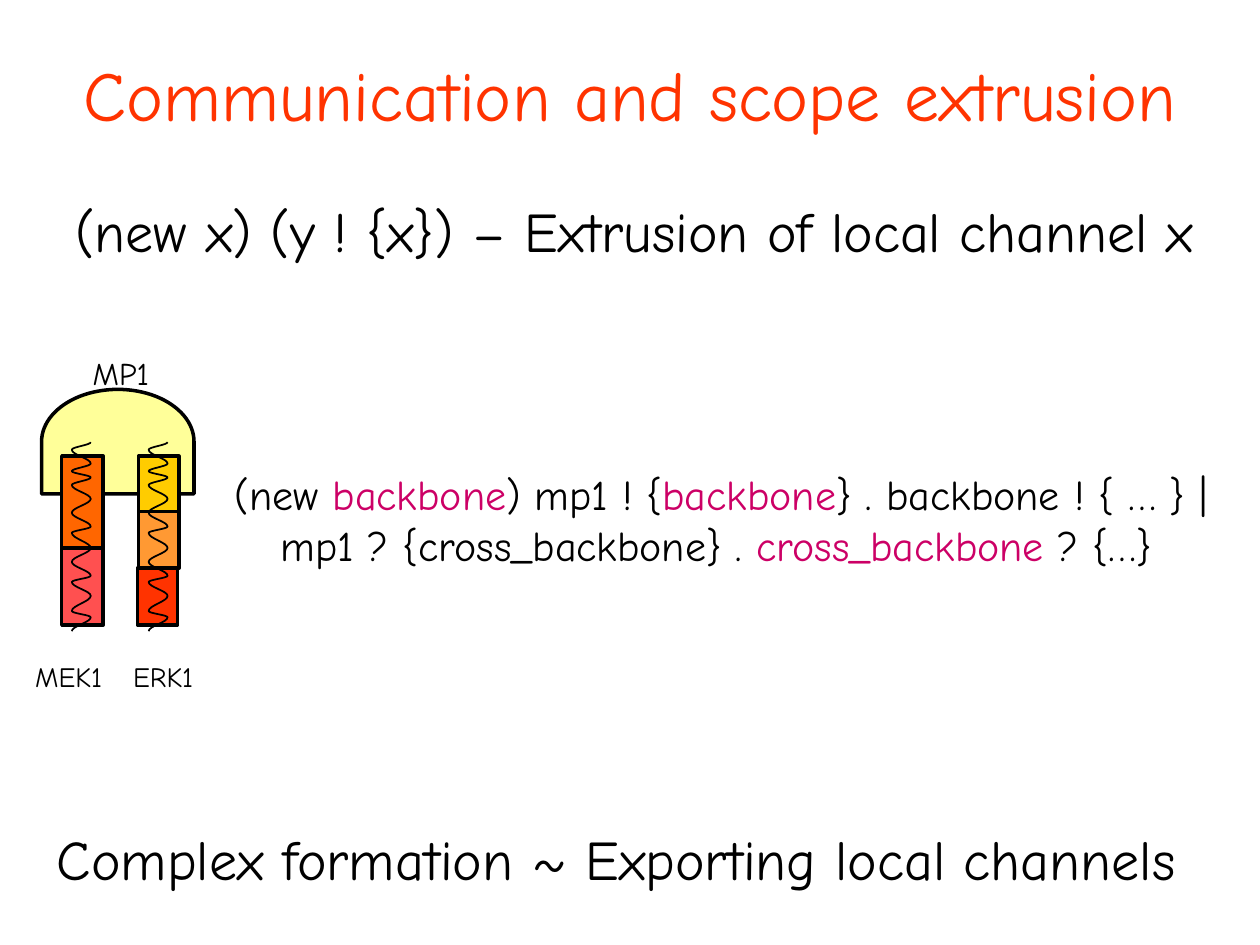
import math
from dataclasses import dataclass

import pptx
import pptx.dml.color
import pptx.enum.shapes
import pptx.enum.text
import pptx.util

Inches = pptx.util.Inches
Pt = pptx.util.Pt
Kind = pptx.enum.shapes.MSO_SHAPE
Anchor = pptx.enum.text.MSO_ANCHOR
Align = pptx.enum.text.PP_ALIGN
FONT = "Comic Neue"
BLACK = "000000"
PINK = "CC0066"


@dataclass
class Box:
    left: float
    top: float
    width: float
    height: float


@dataclass
class Label:
    text: str
    box: Box
    size: int
    gap: float


@dataclass
class Block:
    box: Box
    fill: str


@dataclass
class Piece:
    text: str
    tint: str = BLACK


def color(code: str) -> pptx.dml.color.RGBColor:
    return pptx.dml.color.RGBColor.from_string(code)


def place(box: Box) -> tuple:
    return tuple(map(Inches, (box.left, box.top, box.width, box.height)))


def style(run, size: float, tint: str = BLACK) -> None:
    run.font.name = FONT
    run.font.size = Pt(size)
    run.font.color.rgb = color(tint)


def write(frame, text: str, size: float, gap: float = 0, tint: str = BLACK) -> None:
    frame.text = text
    frame.vertical_anchor = Anchor.MIDDLE
    para = frame.paragraphs[0]
    para.alignment = Align.CENTER
    para.space_before = Pt(gap)
    style(para.runs[0], size, tint)


def draw_shape(slide, kind: Kind, box: Box, fill: str, line: bool = True):
    shape = slide.shapes.add_shape(kind, *place(box))
    shape.shadow.inherit = False
    shape.fill.solid()
    shape.fill.fore_color.rgb = color(fill)
    if line:
        shape.line.color.rgb = color(BLACK)
        shape.line.width = Pt(2)
    else:
        shape.line.fill.background()
    return shape


def draw_tag(slide, tag: Label) -> None:
    shape = draw_shape(slide, Kind.RECTANGLE, tag.box, "FFFFFF", line=False)
    shape.text_frame.word_wrap = False
    write(shape.text_frame, tag.text, tag.size, tag.gap)


def draw_text(slide, label: Label) -> None:
    frame = slide.shapes.add_textbox(*place(label.box)).text_frame
    frame.word_wrap = False
    write(frame, label.text, label.size, label.gap)


def draw_code(slide, box: Box, rows: list[list[Piece]]) -> None:
    frame = slide.shapes.add_textbox(*place(box)).text_frame
    frame.word_wrap = True
    para = frame.paragraphs[0]
    para.alignment = Align.CENTER
    para.space_before = Pt(15)
    props = para._p.get_or_add_pPr()
    props.set("marL", str(Inches(0.38)))
    props.set("indent", str(Inches(0.08)))
    for index, row in enumerate(rows):
        if index:
            para.add_line_break()
        for piece in row:
            run = para.add_run()
            run.text = piece.text
            style(run, 24, piece.tint)


def draw_coil(slide, left: float, turns: list[float]) -> None:
    width, steps = 0.15, 8
    points = []
    for index, (top, end) in enumerate(zip(turns, turns[1:])):
        sign = 1 if index % 2 == 0 else -1
        for step in range(steps):
            part = step / steps
            x = left + width / 2 * (1 + sign * math.cos(math.pi * part))
            points.append((Inches(x), Inches(top + (end - top) * part)))
    points.append((Inches(left), Inches(turns[-1])))
    pen = slide.shapes.build_freeform(*points[0])
    pen.add_line_segments(points[1:], close=False)
    shape = pen.convert_to_shape()
    shape.shadow.inherit = False
    shape.fill.background()
    shape.line.color.rgb = color(BLACK)
    shape.line.width = Pt(1)


TURNS = [3.51, 3.57, 3.68, 3.74, 3.79, 3.85, 3.96, 4.07, 4.18,
         4.23, 4.35, 4.46, 4.57, 4.62, 4.73, 4.85, 4.9, 5.01]
MEK = [
    Block(Box(0.49, 4.35, 0.33, 0.61), "FF5050"),
    Block(Box(0.49, 3.62, 0.33, 0.73), "FF6600"),
]
ERK = [
    Block(Box(1.09, 4.51, 0.32, 0.45), "FF3300"),
    Block(Box(1.1, 3.62, 0.32, 0.45), "FFCC00"),
    Block(Box(1.1, 4.06, 0.32, 0.45), "FF9933"),
]
CODE = [
    [Piece("(new"), Piece(" backbone", PINK), Piece(") mp1 ! {"),
     Piece("backbone", PINK), Piece("} . backbone ! { … } |")],
    [Piece("mp1 ? {cross_backbone} . "), Piece("cross_backbone", PINK),
     Piece(" ? {…}")],
]
LINES = [
    Label("(new x) (y ! {x}) – Extrusion of local channel x",
          Box(0.34, 1.33, 9.4, 1), 32, 20),
    Label("Complex formation ~ Exporting local channels",
          Box(0.35, 6.49, 9.09, 0.64), 32, 20),
]
TAGS = [
    Label("ERK1", Box(0.92, 5.08, 0.75, 0.58), 16, 10),
    Label("MEK1", Box(0.17, 5.08, 0.75, 0.58), 16, 10),
]


def main() -> None:
    deck = pptx.Presentation()
    deck.slide_width = Inches(10)
    deck.slide_height = Inches(7.5)
    slide = deck.slides.add_slide(deck.slide_layouts[5])

    title = slide.shapes.title
    title.left, title.top, title.width, title.height = place(Box(0, 0.08, 10, 1.33))
    write(title.text_frame, "Communication and scope extrusion", 40, tint="FF3300")

    for label in LINES:
        draw_text(slide, label)
    draw_code(slide, Box(1.08, 3.67, 8.83, 0.92), CODE)

    draw_tag(slide, Label("MP1", Box(0.67, 2.75, 0.58, 0.42), 18, 11.2))
    dome = draw_shape(slide, Kind.FLOWCHART_DELAY, Box(0.52, 2.9, 0.83, 1.21), "FFFF99")
    dome.rotation = 270
    for stack, left in ((MEK, 0.57), (ERK, 1.18)):
        for block in stack:
            draw_shape(slide, Kind.RECTANGLE, block.box, block.fill)
        draw_coil(slide, left, TURNS)
    for tag in TAGS:
        draw_tag(slide, tag)

    deck.save("out.pptx")


if __name__ == "__main__":
    main()
